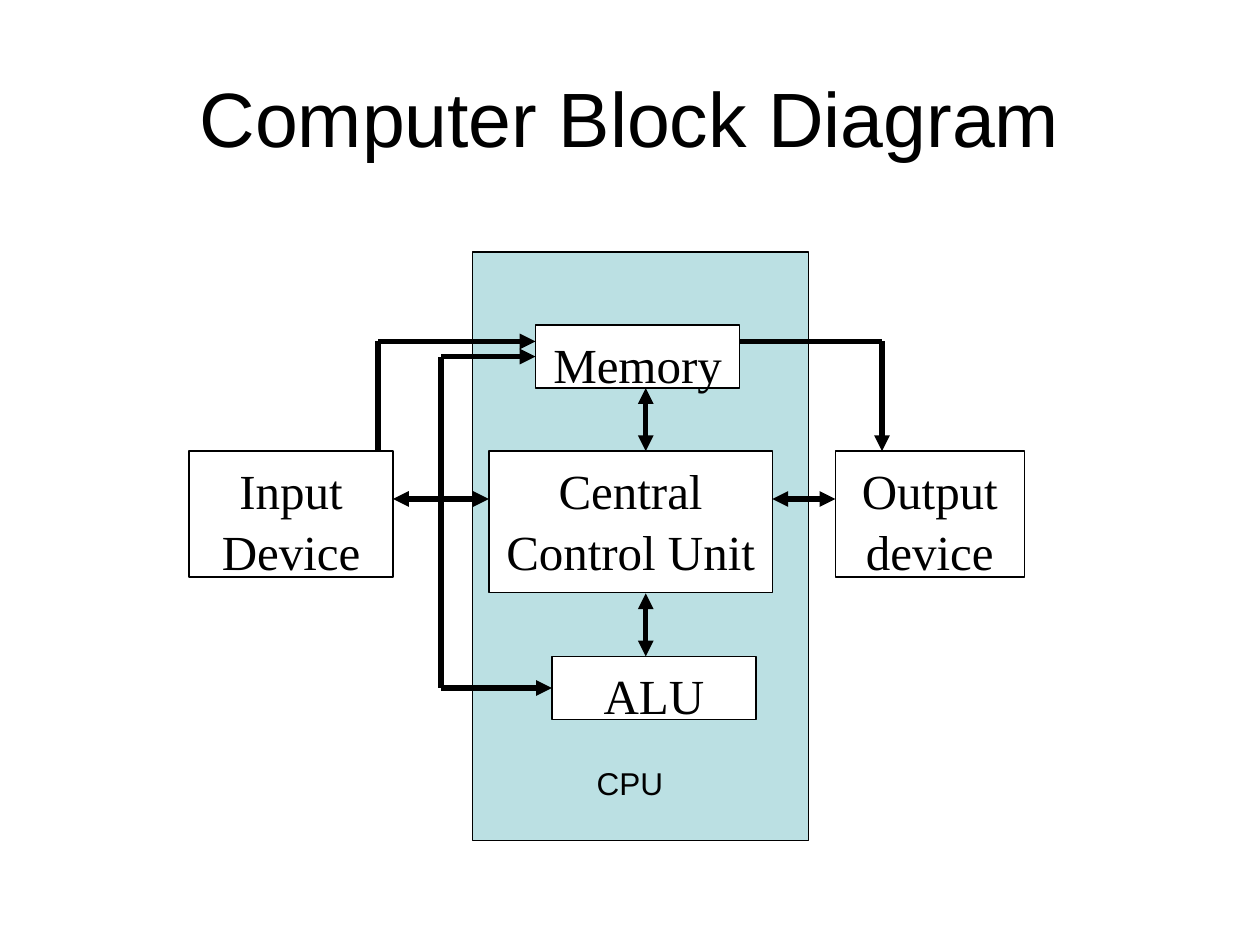
from lxml import etree
from pptx import Presentation
from pptx.dml.color import RGBColor
from pptx.enum.shapes import MSO_CONNECTOR, MSO_SHAPE
from pptx.enum.text import MSO_ANCHOR, PP_ALIGN
from pptx.oxml.ns import qn
from pptx.util import Inches, Pt

RECT = MSO_SHAPE.RECTANGLE
LINE = MSO_CONNECTOR.STRAIGHT
MID, TOP = MSO_ANCHOR.MIDDLE, MSO_ANCHOR.TOP
CENTER = PP_ALIGN.CENTER
BLACK, WHITE, TEAL = "000000", "FFFFFF", "BBE0E3"
HEAD = {"name": "Arial", "size": Pt(44)}
BODY = {"name": "Times New Roman", "size": Pt(28)}
NOTE = {"name": "Arial", "size": Pt(18)}


def color(value):
    return RGBColor.from_string(value)


def write(shape, text, style, anchor=TOP, gap=1.05):
    frame = shape.text_frame
    frame.word_wrap = True
    frame.vertical_anchor = anchor
    frame.text = text
    para = frame.paragraphs[0]
    para.alignment = CENTER
    para.line_spacing = gap
    for key, value in style.items():
        setattr(para.font, key, value)
    para.font.color.rgb = color(BLACK)


def block(slide, box, fill, text=""):
    shape = slide.shapes.add_shape(RECT, *map(Inches, box))
    shape.shadow.inherit = False
    shape.fill.solid()
    shape.fill.fore_color.rgb = color(fill)
    shape.line.color.rgb = color(BLACK)
    shape.line.width = Pt(0.75)
    if text:
        write(shape, text, BODY)
    return shape


def wire(slide, start, end, tips=()):
    link = slide.shapes.add_connector(LINE, *map(Inches, start + end))
    link.line.color.rgb = color(BLACK)
    link.line.width = Pt(3)
    edge = link.line._get_or_add_ln()
    for tip in tips:
        etree.SubElement(edge, qn("a:" + tip), type="triangle")
    etree.SubElement(link._element.spPr, qn("a:effectLst"))
    return link


def route(slide, points, tips=("tailEnd",)):
    pairs = list(zip(points, points[1:]))
    links = [wire(slide, *pair) for pair in pairs[:-1]]
    return links + [wire(slide, *pairs[-1], tips)]


def title(slide, box):
    shape = slide.shapes.title
    shape.left, shape.top, shape.width, shape.height = map(Inches, box)
    write(shape, "Computer Block Diagram", HEAD, MID, 1)


def diagram(slide, box):
    left, top, width, height = box
    block(slide, box, TEAL)
    row = top + 1.58
    low = row + 1.13
    lift = row - 1
    base = low + 0.5
    block(slide, (left - 2.25, row, 1.62, 1), WHITE, "Input Device")
    block(slide, (left + 0.13, row, 2.25, 1.12), WHITE, "Central Control Unit")
    block(slide, (left + 2.88, row, 1.5, 1), WHITE, "Output device")
    memory = block(slide, (left + 0.5, lift, 1.62, 0.5), WHITE, "Memory")
    alu = block(slide, (left + 0.63, base, 1.62, 0.5), WHITE, "ALU")

    both = ("headEnd", "tailEnd")
    mid, axis = row + 0.38, left + 1.375
    for start, end in (
        ((left - 0.63, mid), (left + 0.13, mid)),
        ((left + 2.38, mid), (left + 2.88, mid)),
        ((axis, lift + 0.5), (axis, row)),
        ((axis, low), (axis, base)),
    ):
        wire(slide, start, end, both)

    lane, bus = lift + 0.13, left - 0.25
    route(slide, [(left + 2.12, lane), (left + 3.25, lane), (left + 3.25, row)])
    route(slide, [(left - 0.75, row), (left - 0.75, lane), (left + 0.5, lane)])
    store = wire(slide, (bus, lift + 0.25), (left + 0.5, lift + 0.25), ("tailEnd",))
    store.end_connect(memory, 1)
    feed = route(slide, [(bus, lift + 0.25), (bus, base + 0.25), (left + 0.63, base + 0.25)])
    feed[-1].end_connect(alu, 1)

    label = slide.shapes.add_textbox(*map(Inches, (left + 0.25, top + 4, 2, 0.4)))
    write(label, "CPU", NOTE)


def main():
    deck = Presentation()
    deck.slide_width, deck.slide_height = Inches(10), Inches(7.5)
    slide = deck.slides.add_slide(deck.slide_layouts[5])
    title(slide, (0.5, 0.3, 9, 1.25))
    diagram(slide, (3.75, 2, 2.67, 4.67))
    deck.save("out.pptx")


if __name__ == "__main__":
    main()
